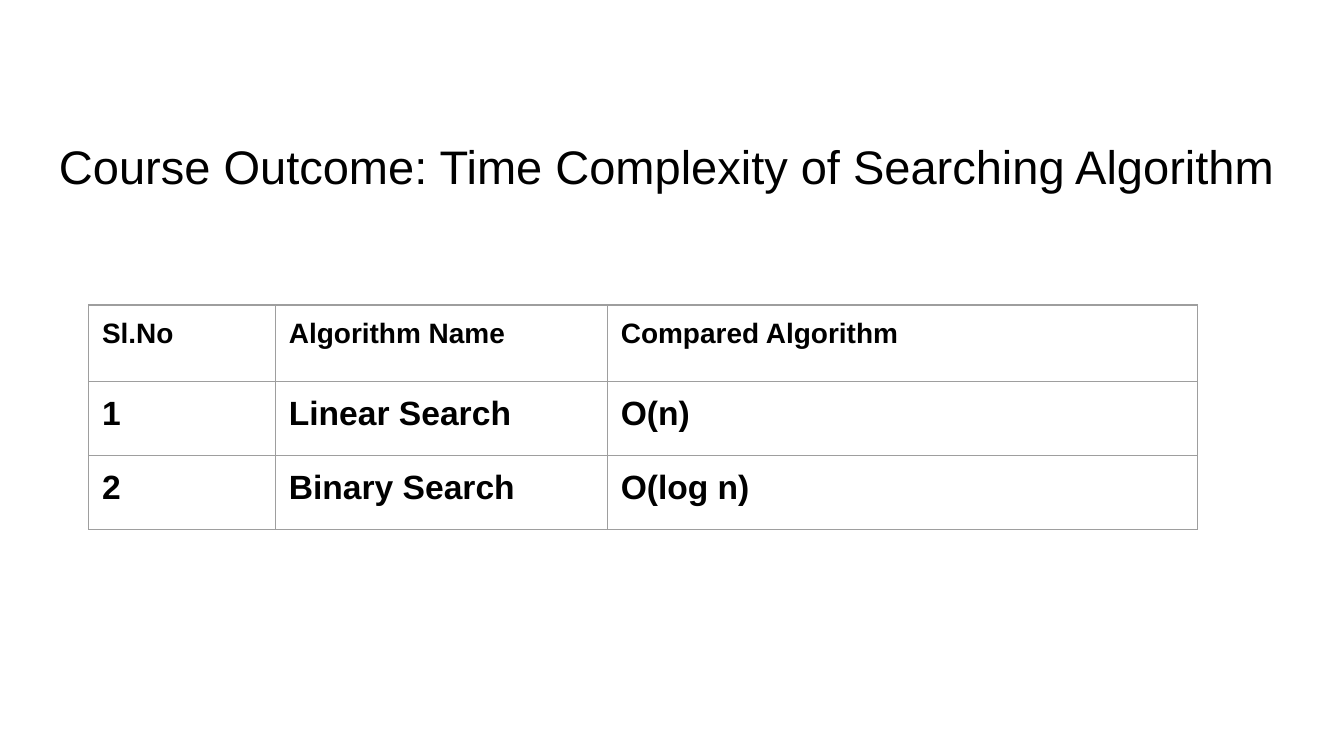
from typing import NamedTuple

from lxml.etree import SubElement
from pptx import Presentation
from pptx.dml.color import RGBColor
from pptx.enum.text import MSO_ANCHOR
from pptx.oxml.ns import qn
from pptx.slide import Slide
from pptx.table import _Cell
from pptx.text.text import TextFrame
from pptx.util import Inches, Pt

BLACK = RGBColor(0x00, 0x00, 0x00)
GRAY = RGBColor(0x9E, 0x9E, 0x9E)
FONT = "Arial"
SLIDE_WIDTH = Inches(10)
SLIDE_HEIGHT = Inches(10 * 9 / 16)
MARGIN = Inches(0.1)
BORDER_WIDTH = Pt(0.75)


class TableRow(NamedTuple):
    height: float
    font_size: float
    texts: tuple[str, str, str]


COLUMN_WIDTHS = (1.39, 2.47, 4.39)
ROWS = (
    TableRow(0.57, 15, ("Sl.No", "Algorithm Name", "Compared Algorithm")),
    TableRow(0.55, 18, ("1", "Linear Search", "O(n)")),
    TableRow(0.55, 18, ("2", "Binary Search", "O(log n)")),
)


def write_text(text_frame: TextFrame, text: str, size: float, bold: bool = False) -> None:
    text_frame.text = text
    text_frame.word_wrap = True
    font = text_frame.paragraphs[0].runs[0].font
    font.name = FONT
    font.size = Pt(size)
    font.bold = bold
    font.color.rgb = BLACK


def add_borders(cell: _Cell) -> None:
    """Line all four sides; call before filling, as the schema puts lines first."""
    properties = cell._tc.get_or_add_tcPr()
    for side in ("a:lnL", "a:lnR", "a:lnT", "a:lnB"):
        line = SubElement(properties, qn(side), w=str(int(BORDER_WIDTH)))
        fill = SubElement(line, qn("a:solidFill"))
        SubElement(fill, qn("a:srgbClr"), val=str(GRAY))


def add_title(slide: Slide) -> None:
    title = slide.shapes.add_textbox(Inches(0.34), Inches(0.92), Inches(9.32), Inches(0.63))
    text_frame = title.text_frame
    text_frame.margin_left = text_frame.margin_right = MARGIN
    text_frame.margin_top = text_frame.margin_bottom = MARGIN
    text_frame.vertical_anchor = MSO_ANCHOR.TOP
    write_text(text_frame, "Course Outcome: Time Complexity of Searching Algorithm", 25.2)


def add_complexity_table(slide: Slide) -> None:
    table = slide.shapes.add_table(
        len(ROWS), len(COLUMN_WIDTHS),
        Inches(0.66), Inches(2.27),
        Inches(sum(COLUMN_WIDTHS)), Inches(sum(row.height for row in ROWS)),
    ).table
    table.first_row = table.horz_banding = False
    for column, width in zip(table.columns, COLUMN_WIDTHS):
        column.width = Inches(width)
    for table_row, row in zip(table.rows, ROWS):
        table_row.height = Inches(row.height)
        for cell, text in zip(table_row.cells, row.texts):
            cell.margin_left = cell.margin_right = MARGIN
            cell.margin_top = cell.margin_bottom = MARGIN
            cell.vertical_anchor = MSO_ANCHOR.TOP
            add_borders(cell)
            cell.fill.background()
            write_text(cell.text_frame, text, row.font_size, bold=True)


def main() -> None:
    presentation = Presentation()
    presentation.slide_width = SLIDE_WIDTH
    presentation.slide_height = SLIDE_HEIGHT
    slide = presentation.slides.add_slide(presentation.slide_layouts[6])
    add_title(slide)
    add_complexity_table(slide)
    presentation.save("out.pptx")


if __name__ == "__main__":
    main()
